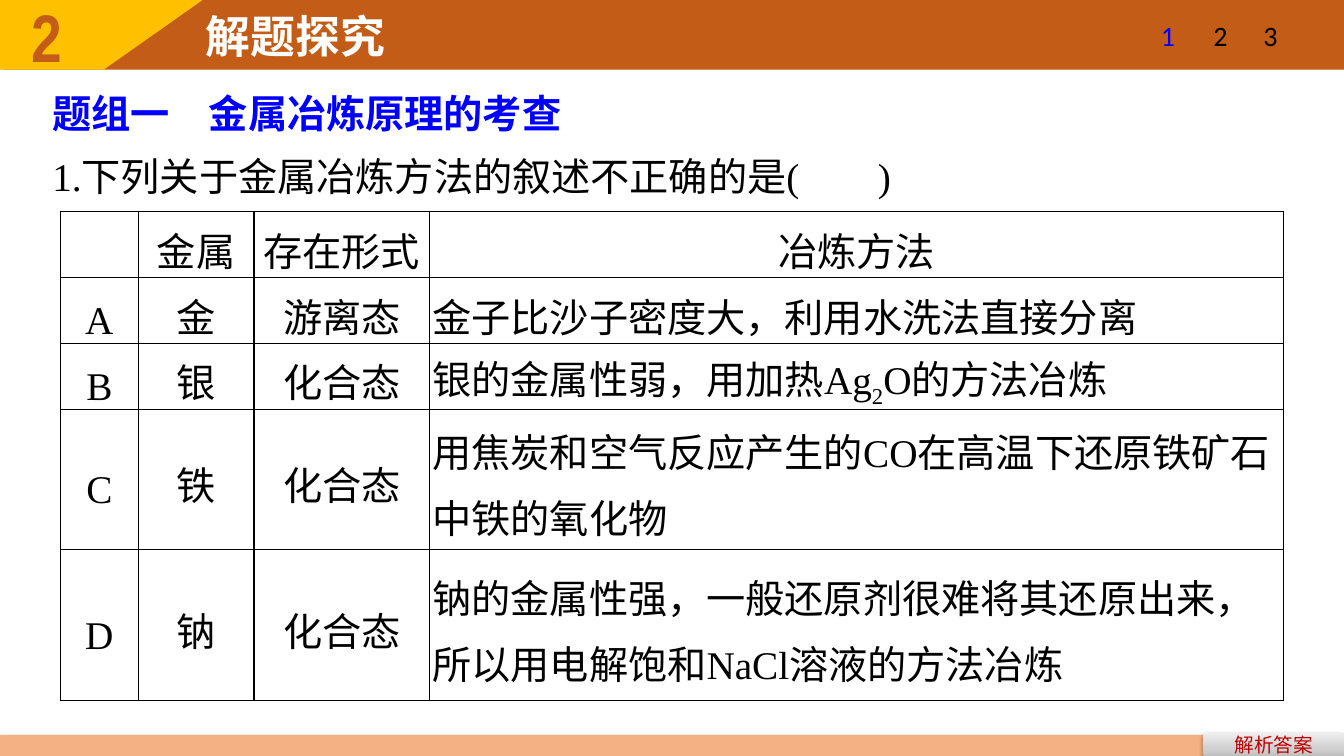
from copy import deepcopy

from lxml.etree import SubElement
from pptx import Presentation
from pptx.dml.color import RGBColor
from pptx.enum.shapes import MSO_SHAPE as SHAPE
from pptx.enum.text import MSO_ANCHOR as ANCHOR, MSO_AUTO_SIZE as AUTO, PP_ALIGN as ALIGN
from pptx.oxml.ns import qn
from pptx.util import Inches, Pt

ORANGE, YELLOW, BLUE, BLACK, WHITE = "C25C17", "FFC000", "0000FF", "000000", "FFFFFF"
SERIF = "Times New Roman"


def rgb(value):
    return RGBColor.from_string(value)


class Deck:
    """Holds the slide and the shared text and table style."""

    def __init__(self):
        self.prs = Presentation()
        self.prs.slide_width, self.prs.slide_height = Inches(13.33), Inches(7.5)
        self.s = self.prs.slides.add_slide(self.prs.slide_layouts[5])
        self.body_size = 28

    def shape(self, kind, box, color=None):
        sp = self.s.shapes.add_shape(kind, *map(Inches, box))
        sp.shadow.inherit = False
        sp.line.fill.background()
        if color:
            sp.fill.solid()
            sp.fill.fore_color.rgb = rgb(color)
        return sp

    def soft_shadow(self, sp):
        effects = sp._element.spPr.find(qn("a:effectLst"))
        shadow = SubElement(effects, qn("a:outerShdw"), blurRad=str(Pt(3.1)),
                            dist=str(Pt(1.6)), dir="5400000", rotWithShape="0")
        color = SubElement(shadow, qn("a:srgbClr"), val=BLACK)
        SubElement(color, qn("a:alpha"), val="38000")

    def gradient(self, sp, stops, angle):
        sp.fill.gradient()
        sp.fill.gradient_angle = angle
        gs_list = sp._element.spPr.find(".//" + qn("a:gsLst"))
        while len(gs_list) < len(stops):
            gs_list.append(deepcopy(gs_list[-1]))
        for stop, (position, color) in zip(sp.fill.gradient_stops, stops):
            stop.position = position
            stop.color.rgb = rgb(color)

    def style(self, p, size, font, color, bold=False, align=ALIGN.LEFT, spacing=None):
        p.alignment = align
        if spacing:
            p.line_spacing = Pt(spacing)
        p.font.size, p.font.name, p.font.bold = Pt(size), font, bold
        p.font.color.rgb = rgb(color)

    def textbox(self, box, wrap=True, grow=True):
        tf = self.s.shapes.add_textbox(*map(Inches, box)).text_frame
        tf.word_wrap = wrap
        tf.auto_size = AUTO.SHAPE_TO_FIT_TEXT if grow else AUTO.NONE
        return tf

    def title(self, text, box):
        sp = self.s.shapes.title
        self.s.shapes._spTree.append(sp._element)  # bring in front of the band
        sp.left, sp.top, sp.width, sp.height = map(Inches, box)
        tf = sp.text_frame
        tf.text, tf.word_wrap = text, False
        tf.auto_size, tf.vertical_anchor = AUTO.SHAPE_TO_FIT_TEXT, ANCHOR.TOP
        self.style(tf.paragraphs[0], 32, "Arial", WHITE, bold=True)

    def nav_number(self, text, left, width, color):
        tf = self.textbox((left, 0.04, width, 0.63), wrap=False, grow=False)
        tf.margin_left = tf.margin_right = Inches(0.13)
        tf.margin_top = tf.margin_bottom = Inches(0.07)
        tf.vertical_anchor = ANCHOR.MIDDLE
        tf.text = text
        self.style(tf.paragraphs[0], 20, "Calibri", color, align=ALIGN.CENTER)

    def cell(self, cell, parts, align):
        """Fill a cell; every second part of the text is a subscript."""
        tc_pr = cell._tc.get_or_add_tcPr()
        for side in ("lnL", "lnR", "lnT", "lnB"):
            ln = SubElement(tc_pr, qn(f"a:{side}"), w=str(Pt(1)))
            fill = SubElement(ln, qn("a:solidFill"))
            SubElement(fill, qn("a:srgbClr"), val=BLACK)
        cell.fill.background()
        cell.margin_left = cell.margin_right = Inches(0.03)
        cell.margin_top = cell.margin_bottom = 0
        cell.vertical_anchor = ANCHOR.MIDDLE
        p = cell.text_frame.paragraphs[0]
        self.style(p, self.body_size, SERIF, BLACK, align=align, spacing=47)
        for i, part in enumerate(parts):
            r = p.add_run()
            r.text = part
            if i % 2:
                r.font._element.set("baseline", "-25000")

    def table(self, rows, box, widths, heights):
        tbl = self.s.shapes.add_table(len(rows), len(widths), *map(Inches, box)).table
        tbl.first_row = tbl.horz_banding = False
        for column, width in zip(tbl.columns, widths):
            column.width = Inches(width)
        for i, (row, height) in enumerate(zip(rows, heights)):
            tbl.rows[i].height = Inches(height)
            for j, text in enumerate(row):
                is_method = i > 0 and j == len(row) - 1
                parts = text.split("_") if text else []
                self.cell(tbl.cell(i, j), parts, ALIGN.LEFT if is_method else ALIGN.CENTER)


METHODS = [  # underscores enclose a subscript
    ("", "金属", "存在形式", "冶炼方法"),
    ("A", "金", "游离态", "金子比沙子密度大，利用水洗法直接分离"),
    ("B", "银", "化合态", "银的金属性弱，用加热Ag_2_O的方法冶炼"),
    ("C", "铁", "化合态", "用焦炭和空气反应产生的CO在高温下还原铁矿石中铁的氧化物"),
    ("D", "钠", "化合态", "钠的金属性强，一般还原剂很难将其还原出来，所以用电解饱和NaCl溶液的方法冶炼"),
]


def main():
    deck = Deck()

    deck.shape(SHAPE.RECTANGLE, (0.04, 0, 13.33, 0.69), ORANGE)
    deck.shape(SHAPE.RECTANGLE, (0, 0, 1.03, 0.69), YELLOW)
    corner = deck.shape(SHAPE.RIGHT_TRIANGLE, (1.03, 0, 0.98, 0.69), YELLOW)
    corner._element.spPr.find(qn("a:xfrm")).set("flipV", "1")
    deck.title("解题探究", (1.94, 0.04, 2, 0.64))
    number = deck.textbox((0.21, -0.1, 0.71, 0.91))
    number.text = "2"
    deck.style(number.paragraphs[0], 48, "Arial Narrow", ORANGE, bold=True)

    question = deck.textbox((0.42, 0.68, 12.11, 1.36))
    question.text = "题组一　金属冶炼原理的考查\n1.下列关于金属冶炼方法的叙述不正确的是(　　)"
    heading, stem = question.paragraphs
    deck.style(heading, deck.body_size, SERIF, BLUE, bold=True, align=ALIGN.JUSTIFY, spacing=45)
    deck.style(stem, deck.body_size, SERIF, BLACK, spacing=45)

    deck.table(METHODS, (0.6, 2.1, 12.13, 4.75),
               (0.77, 1.15, 1.74, 8.47), (0.62, 0.62, 0.62, 1.39, 1.5))

    for text, left, width, color in (("1", 11.37, 0.43, BLUE), ("2", 11.9, 0.41, BLACK),
                                     ("3", 12.41, 0.38, BLACK)):
        deck.nav_number(text, left, width, color)

    footer = deck.shape(SHAPE.RECTANGLE, (0, 7.29, 13.34, 0.21), "F4B183")
    deck.soft_shadow(footer)
    button = deck.shape(SHAPE.ROUNDED_RECTANGLE, (11.93, 7.27, 1.41, 0.24))
    deck.gradient(button, ((0, "BDBDBD"), (0.35, "D1D1D1"), (1, "EEEEEE")), 90)
    deck.soft_shadow(button)
    button.text_frame.text = "解析答案"
    button.text_frame.vertical_anchor = ANCHOR.MIDDLE
    deck.style(button.text_frame.paragraphs[0], 14, "Noto Sans CJK SC", "C00000",
               align=ALIGN.CENTER)

    deck.prs.save("out.pptx")


if __name__ == "__main__":
    main()
